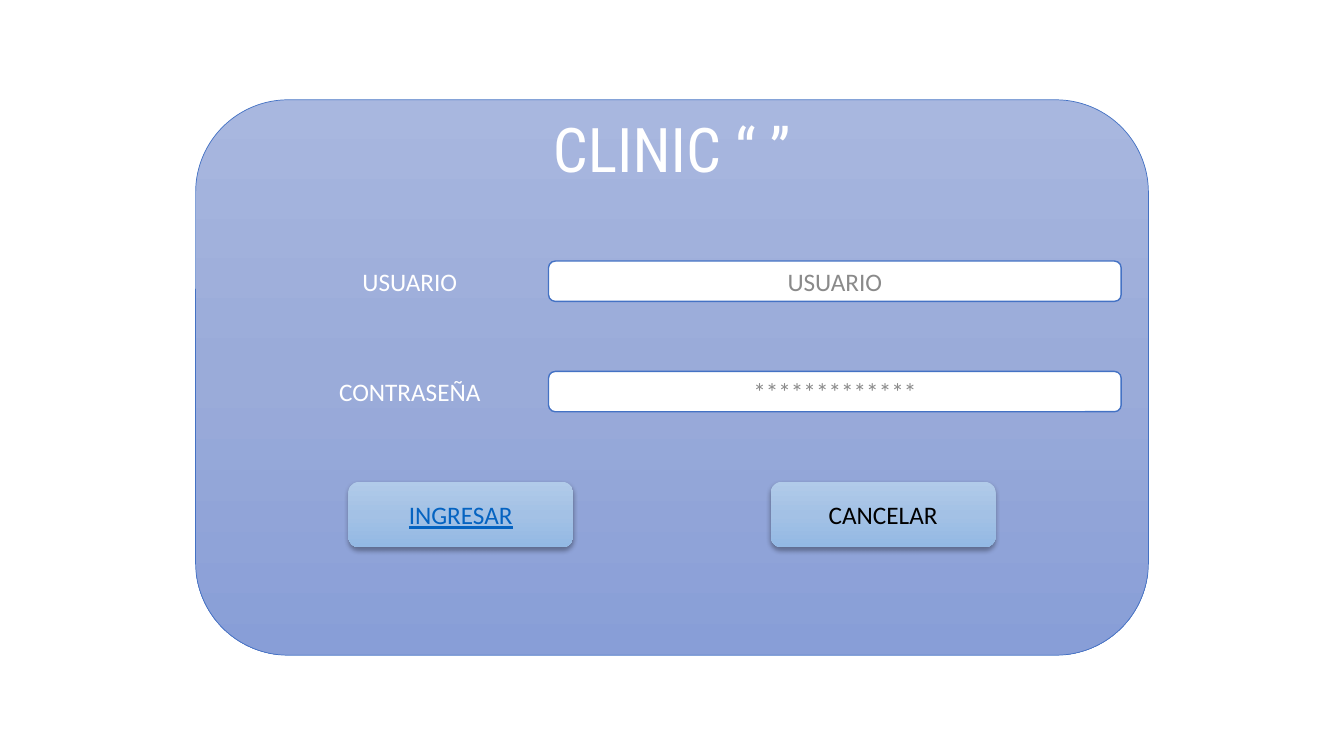
from dataclasses import dataclass

from lxml import etree
from pptx import Presentation
from pptx import util as u
from pptx.dml.color import RGBColor
from pptx.enum import shapes, text
from pptx.oxml.ns import qn

TITLE = "CLINIC “ ”"
FIELDS = [("USUARIO", "USUARIO"), ("CONTRASEÑA", "*************")]
BUTTONS = [("INGRESAR", "link", True), ("CANCELAR", "black", False)]


@dataclass(frozen=True)
class Theme:
    white: str = "FFFFFF"
    black: str = "000000"
    link: str = "0563C1"
    outline: str = "4472C4"
    panel: tuple = ("A8B7DF", "9AABD9", "889ED7")
    button: tuple = ("B1CBE9", "A3C1E5", "93B9E4")
    body_font: str = "Calibri"
    title_font: str = "Roboto Condensed"
    body_size: int = 18
    title_size: int = 44
    hint_alpha: int = 46
    shadow_alpha: int = 32


THEME = Theme()
WIDTH, HEIGHT = 13.33, 7.5
CENTER = WIDTH / 2
PANEL_TOP, PANEL_WIDTH, PANEL_HEIGHT = 0.99, 9.45, 5.51
FIELD_WIDTH, FIELD_HEIGHT, FIELD_LEFT = 5.68, 0.4, 5.44
LABEL_WIDTH, LABEL_LEFT = 2.23, 2.95
BUTTON_HEIGHT, BUTTON_PITCH = 0.65, 4.19
TITLE_TOP, FIRST_ROW, ROW_PITCH = 1.14, 2.59, 1.095


def add_alpha(color, percent):
    etree.SubElement(color, qn("a:alpha"), val=str(percent * 1000))


def add_color(parent, value):
    return etree.SubElement(parent, qn("a:srgbClr"), val=value)


def fill_gradient(shape, colors):
    shape.fill.gradient()
    shape.fill.gradient_angle = 270
    stops = shape._element.spPr.find(".//" + qn("a:gsLst"))
    for stop in list(stops):
        stops.remove(stop)
    for index, color in enumerate(colors):
        position = index * 100000 // (len(colors) - 1)
        add_color(etree.SubElement(stops, qn("a:gs"), pos=str(position)), color)


def add_box(slide, left, top, width, height, fill=None, line_width=None):
    shape = slide.shapes.add_shape(
        shapes.MSO_SHAPE.ROUNDED_RECTANGLE,
        *(u.Inches(length) for length in (left, top, width, height)))
    shape.shadow.inherit = False
    if fill is None:
        shape.fill.background()
    elif isinstance(fill, tuple):
        fill_gradient(shape, fill)
    else:
        shape.fill.solid()
        shape.fill.fore_color.rgb = RGBColor.from_string(fill)
    if line_width is None:
        shape.line.fill.background()
    else:
        shape.line.color.rgb = RGBColor.from_string(THEME.outline)
        shape.line.width = u.Pt(line_width)
    return shape


def write(shape, words, color, size=THEME.body_size, font=THEME.body_font,
          underline=None, alpha=None):
    frame = shape.text_frame
    frame.text = words
    frame.word_wrap = True
    frame.vertical_anchor = text.MSO_ANCHOR.MIDDLE
    paragraph = frame.paragraphs[0]
    paragraph.alignment = text.PP_ALIGN.CENTER
    run = paragraph.runs[0]
    run.font.name = font
    run.font.size = u.Pt(size)
    run.font.underline = underline
    run.font.color.rgb = RGBColor.from_string(color)
    if alpha:
        add_alpha(run._r.rPr.find(".//" + qn("a:srgbClr")), alpha)


def add_shadow(shape):
    effects = shape._element.spPr.find(qn("a:effectLst"))
    shadow = etree.SubElement(
        effects, qn("a:outerShdw"), blurRad=str(u.Pt(3.5)),
        dist=str(u.Pt(2.2)), dir="5400000", algn="ctr", rotWithShape="0")
    add_alpha(add_color(shadow, THEME.black), THEME.shadow_alpha)


def main():
    presentation = Presentation()
    presentation.slide_width = u.Inches(WIDTH)
    presentation.slide_height = u.Inches(HEIGHT)
    slide = presentation.slides.add_slide(presentation.slide_layouts[6])

    add_box(slide, CENTER - PANEL_WIDTH / 2, PANEL_TOP,
            PANEL_WIDTH, PANEL_HEIGHT, THEME.panel, 0.5)

    for row, (label, hint) in enumerate(FIELDS):
        top = FIRST_ROW + row * ROW_PITCH
        field = add_box(slide, FIELD_LEFT, top, FIELD_WIDTH, FIELD_HEIGHT,
                        THEME.white, 1)
        write(field, hint, THEME.black, alpha=THEME.hint_alpha)
        caption = add_box(slide, LABEL_LEFT, top, LABEL_WIDTH, FIELD_HEIGHT)
        write(caption, label, THEME.white)

    button_top = FIRST_ROW + len(FIELDS) * ROW_PITCH
    first_button = CENTER - (BUTTON_PITCH + LABEL_WIDTH) / 2
    for column, (label, color, underline) in enumerate(BUTTONS):
        button = add_box(slide, first_button + column * BUTTON_PITCH,
                         button_top, LABEL_WIDTH, BUTTON_HEIGHT, THEME.button)
        add_shadow(button)
        write(button, label, getattr(THEME, color), underline=underline)

    title = add_box(slide, CENTER - FIELD_WIDTH / 2, TITLE_TOP,
                    FIELD_WIDTH, BUTTON_HEIGHT)
    write(title, TITLE, THEME.white, THEME.title_size, THEME.title_font)
    presentation.save("out.pptx")


if __name__ == "__main__":
    main()
